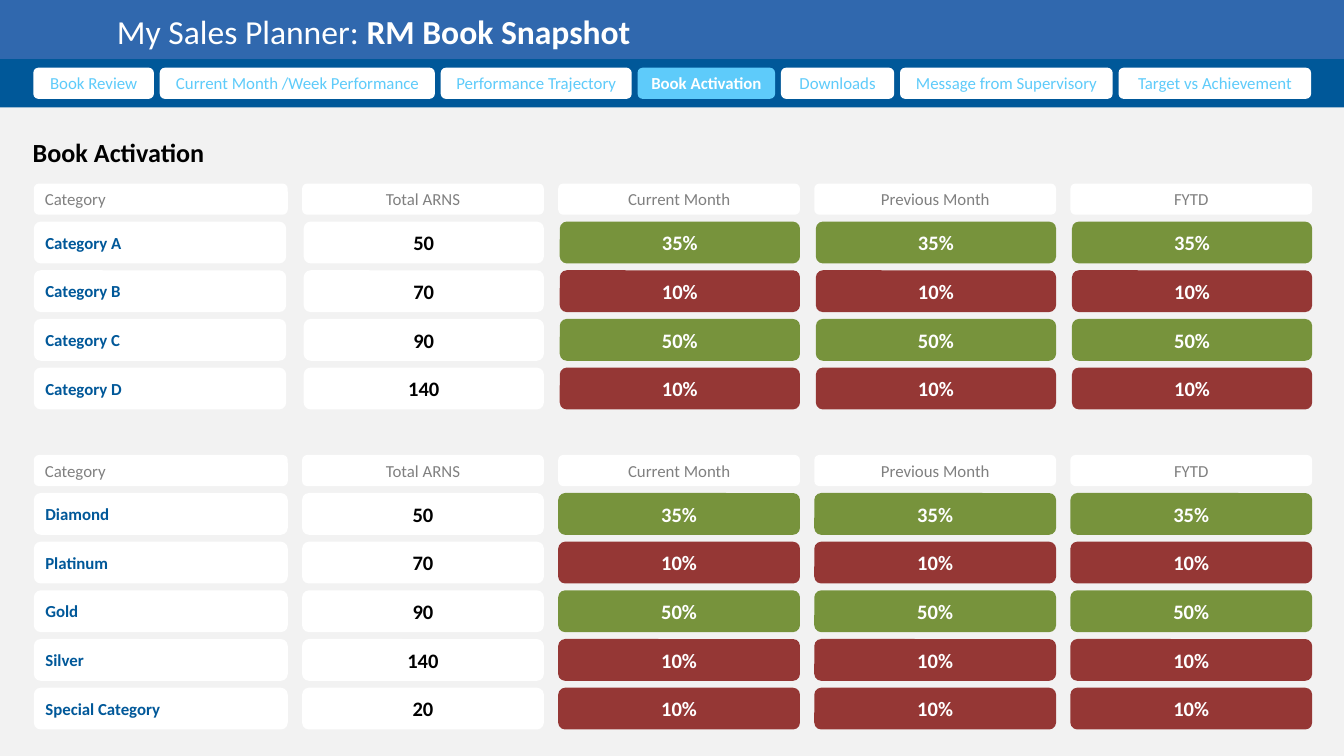
from dataclasses import dataclass

from pptx import Presentation
from pptx.dml.color import RGBColor
from pptx.enum.shapes import MSO_SHAPE
from pptx.enum.text import MSO_ANCHOR, PP_ALIGN
from pptx.util import Cm, Pt


@dataclass(frozen=True)
class Theme:
    font: str = "Calibri"
    white: str = "FFFFFF"
    black: str = "000000"
    page: str = "F2F2F2"
    band: str = "3068AE"
    navy: str = "005899"
    sky: str = "5ECBFA"
    gray: str = "808080"
    green: str = "77933C"
    red: str = "953735"
    title: int = 18
    head: int = 14
    value: int = 11
    small: int = 9


class Deck:
    def __init__(self, theme, width, height):
        self.theme = theme
        self.show = Presentation()
        self.show.slide_width = Cm(width)
        self.show.slide_height = Cm(height)
        self.slide = self.show.slides.add_slide(self.show.slide_layouts[6])

    def shape(self, kind, left, top, width, height, fill=None):
        item = self.slide.shapes.add_shape(
            kind, Cm(left), Cm(top), Cm(width), Cm(height))
        item.shadow.inherit = False
        item.line.fill.background()
        if fill:
            item.fill.solid()
            item.fill.fore_color.rgb = RGBColor.from_string(fill)
        else:
            item.fill.background()
        return item

    def bar(self, left, top, width, height, fill):
        self.shape(MSO_SHAPE.RECTANGLE, left, top, width, height, fill)

    def style(self, run, size, color, bold=False):
        run.font.name = self.theme.font
        run.font.size = Pt(size)
        run.font.bold = bold
        run.font.color.rgb = RGBColor.from_string(color)

    def frame(self, item, side, edge):
        frame = item.text_frame
        frame.word_wrap = True
        frame.vertical_anchor = MSO_ANCHOR.MIDDLE
        frame.margin_left = frame.margin_right = Cm(side)
        frame.margin_top = frame.margin_bottom = Cm(edge)
        return frame

    def pill(self, text, box, fill, size, color, bold=False, center=True):
        item = self.shape(MSO_SHAPE.ROUNDED_RECTANGLE, *box, fill)
        frame = self.frame(item, 0.18, 0.1)
        frame.text = text
        line = frame.paragraphs[0]
        line.alignment = PP_ALIGN.CENTER if center else PP_ALIGN.LEFT
        self.style(line.runs[0], size, color, bold)

    def title(self, plain, strong, box):
        item = self.slide.shapes.add_textbox(*map(Cm, box))
        frame = self.frame(item, 0, 0)
        frame.text = plain
        line = frame.paragraphs[0]
        line.add_run().text = strong
        for run, bold in zip(line.runs, (False, True)):
            self.style(run, self.theme.title, self.theme.white, bold)

    def tabs(self, items, active, left, top, gap):
        look = self.theme
        for text, width in items:
            live = text == active
            fill, color = (look.sky, look.white) if live else (look.white, look.sky)
            self.pill(text, (left, top, width, 0.59), fill, look.small, color, live)
            left += width + gap

    def grid(self, top, heads, rows, trim=0):
        look = self.theme
        left, wide, first, step, width = 0.64, 4.8, 5.71, 4.84, 4.57
        for col, text in enumerate(heads):
            box = (first + step * (col - 1), top, width, 0.59) if col else (left, top, wide, 0.59)
            self.pill(text, box, look.white, look.small, look.gray, center=col > 0)
        for row, (label, count, rate) in enumerate(rows):
            y = top + 0.72 + 0.92 * row
            self.pill(label, (left, y, wide - trim, 0.79), look.white,
                      look.small, look.navy, True, False)
            tone = look.green if rate >= 35 else look.red
            cells = [(str(count), look.white, look.black)]
            cells += [(f"{rate}%", tone, look.white)] * (len(heads) - 2)
            for col, (text, fill, color) in enumerate(cells):
                box = (first + step * col + trim, y, width - trim, 0.79)
                self.pill(text, box, fill, look.value, color, True)


def main():
    look = Theme()
    deck = Deck(look, 25.4, 14.29)
    deck.bar(0, 1.12, 25.4, 13.17, look.page)
    deck.bar(0, -0.03, 25.4, 1.18, look.band)
    deck.bar(0, 1.12, 25.4, 0.91, look.navy)
    deck.title("My Sales Planner: ", "RM Book Snapshot", (2.21, 0.18, 20.5, 0.81))
    deck.pill("Book Activation", (0.41, 2.59, 6.05, 0.59), None,
              look.head, look.black, True, False)

    heads = ["Category", "Total ARNS", "Current Month", "Previous Month", "FYTD"]
    groups = [("Category A", 50, 35), ("Category B", 70, 10),
              ("Category C", 90, 50), ("Category D", 140, 10)]
    tiers = [("Diamond", 50, 35), ("Platinum", 70, 10), ("Gold", 90, 50),
             ("Silver", 140, 10), ("Special Category", 20, 10)]
    deck.grid(3.47, heads, groups, trim=0.03)
    deck.grid(8.6, heads, tiers)

    tabs = [("Book Review", 2.28), ("Current Month /Week Performance", 5.2),
            ("Performance Trajectory", 3.61), ("Book Activation", 2.6),
            ("Downloads", 2.14), ("Message from Supervisory", 4.02),
            ("Target vs Achievement", 3.64)]
    deck.tabs(tabs, "Book Activation", 0.63, 1.28, 0.11)
    deck.show.save("out.pptx")


if __name__ == "__main__":
    main()
